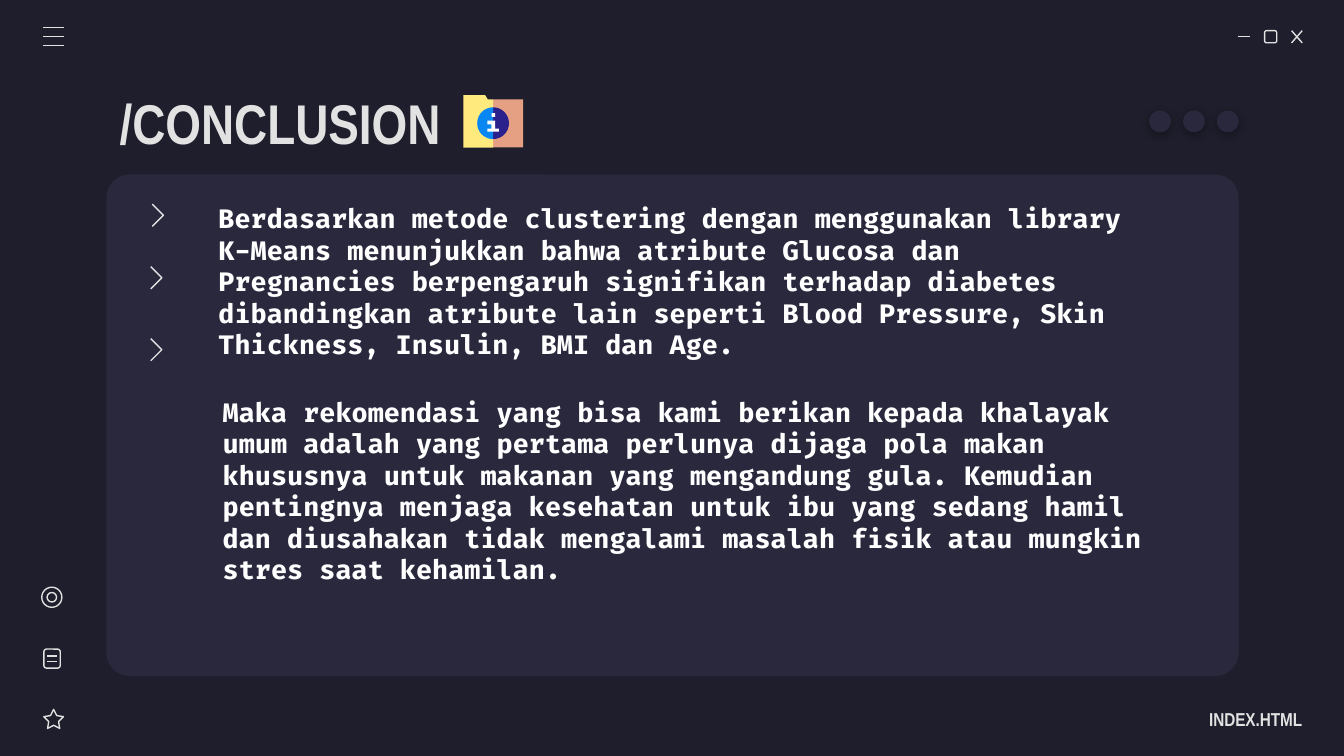
from math import cos, pi, sin

from lxml.etree import SubElement
from pptx import Presentation
from pptx.dml.color import RGBColor
from pptx.enum.shapes import MSO_CONNECTOR, MSO_SHAPE
from pptx.enum.text import MSO_ANCHOR, PP_ALIGN
from pptx.oxml.ns import qn
from pptx.util import Cm, Pt

BACKGROUND = RGBColor(0x1E, 0x1E, 0x2C)
PANEL = RGBColor(0x29, 0x28, 0x3D)
LIGHT = RGBColor(0xE2, 0xE2, 0xE2)
WHITE = RGBColor(0xFF, 0xFF, 0xFF)
YELLOW = RGBColor(0xFF, 0xEA, 0x7D)
PEACH = RGBColor(0xE5, 0xA0, 0x83)
BLUE = RGBColor(0x08, 0x87, 0xF2)
INDIGO = RGBColor(0x2B, 0x21, 0x8D)

HEADING = {"name": "Arial Narrow", "size": Pt(30), "bold": True}
FOOTER = {"name": "Arial Narrow", "size": Pt(10), "bold": True}
BODY = {"name": "Fira Code", "size": Pt(14), "bold": True}

FINDING = (
    "Berdasarkan metode clustering dengan menggunakan library K-Means "
    "menunjukkan bahwa atribute Glucosa dan Pregnancies berpengaruh signifikan "
    "terhadap diabetes dibandingkan atribute lain seperti Blood Pressure, Skin "
    "Thickness, Insulin, BMI dan Age."
)
ADVICE = (
    "Maka rekomendasi yang bisa kami berikan kepada khalayak umum adalah yang "
    "pertama perlunya dijaga pola makan khususnya untuk makanan yang mengandung "
    "gula. Kemudian pentingnya menjaga kesehatan untuk ibu yang sedang hamil dan "
    "diusahakan tidak mengalami masalah fisik atau mungkin stres saat kehamilan."
)


class SlidePainter:
    """Adds styled elements to one slide; every length is in centimetres."""

    line_color = LIGHT
    line_width = Pt(0.75)

    def __init__(self, slide):
        self.slide = slide
        fill = slide.background.fill
        fill.solid()
        fill.fore_color.rgb = BACKGROUND

    def finish(self, shape, fill):
        """Fill the shape without a line, or only outline it if fill is None."""
        shape.shadow.inherit = False
        if fill is None:
            shape.fill.background()
            shape.line.color.rgb = self.line_color
            shape.line.width = self.line_width
        else:
            shape.fill.solid()
            shape.fill.fore_color.rgb = fill
            shape.line.fill.background()
        return shape

    def preset(self, kind, left, top, width, height, fill=None, adjustments=()):
        shape = self.slide.shapes.add_shape(
            kind, Cm(left), Cm(top), Cm(width), Cm(height))
        for index, value in enumerate(adjustments):
            shape.adjustments[index] = value
        return self.finish(shape, fill)

    def outline(self, points, fill=None):
        """Draw a path through the points, closed when it is filled."""
        start, *others = [(Cm(x), Cm(y)) for x, y in points]
        builder = self.slide.shapes.build_freeform(*start)
        builder.add_line_segments(others, close=fill is not None)
        return self.finish(builder.convert_to_shape(), fill)

    def line(self, x1, y1, x2, y2):
        connector = self.slide.shapes.add_connector(
            MSO_CONNECTOR.STRAIGHT, Cm(x1), Cm(y1), Cm(x2), Cm(y2))
        connector.line.color.rgb = self.line_color
        connector.line.width = self.line_width
        SubElement(connector._element.spPr, qn("a:effectLst"))

    def text(self, content, box, style, color, align=PP_ALIGN.LEFT, frame_format=None):
        shape = self.slide.shapes.add_textbox(*[Cm(value) for value in box])
        frame = shape.text_frame
        frame.word_wrap = True
        for name, value in (frame_format or {}).items():
            setattr(frame, name, value)
        paragraph = frame.paragraphs[0]
        paragraph.alignment = align
        run = paragraph.add_run()
        run.text = content
        for name, value in style.items():
            setattr(run.font, name, value)
        run.font.color.rgb = color

    def soft_shadow(self, shape):
        effects = shape._element.spPr.find(qn("a:effectLst"))
        shadow = SubElement(effects, qn("a:outerShdw"), blurRad=str(Pt(4.5)),
                            dist=str(Pt(1.5)), dir="5400000", rotWithShape="0")
        color = SubElement(shadow, qn("a:srgbClr"), val="000000")
        SubElement(color, qn("a:alpha"), val="30000")


def half_disc(center_x, center_y, radius, side):
    """Points of a half disc; side is -1 for the left half and 1 for the right."""
    steps = 24
    angles = [pi * step / steps - pi / 2 for step in range(steps + 1)]
    return [(center_x + side * radius * cos(angle), center_y + radius * sin(angle))
            for angle in angles]


def draw_window_controls(painter):
    painter.line(23.39, 0.69, 23.62, 0.69)
    painter.preset(MSO_SHAPE.ROUNDED_RECTANGLE, 23.9, 0.58, 0.23, 0.23)
    painter.line(24.41, 0.58, 24.61, 0.81)
    painter.line(24.61, 0.58, 24.41, 0.81)
    for y in (0.52, 0.69, 0.86):
        painter.line(0.82, y, 1.21, y)


def draw_side_icons(painter):
    painter.preset(MSO_SHAPE.STAR_5_POINT, 0.83, 13.41, 0.37, 0.36,
                   adjustments=(0.254, 1.051, 1.106))
    painter.preset(MSO_SHAPE.ROUNDED_RECTANGLE, 0.83, 12.27, 0.31, 0.36)
    for y in (12.4, 12.5):
        painter.line(0.89, y, 1.07, y)
    for inset in (0, 0.1):
        size = 0.38 - 2 * inset
        painter.preset(MSO_SHAPE.OVAL, 0.79 + inset, 11.1 + inset, size, size)


def draw_folder(painter):
    middle, top, bottom = 9.32, 1.88, 2.79
    painter.preset(MSO_SHAPE.RECTANGLE, middle, top, 0.57, bottom - top, PEACH)
    painter.outline([(8.76, 1.8), (8.76, bottom), (middle, bottom), (middle, top),
                     (9.22, top), (9.17, 1.8)], YELLOW)
    for side, color in ((1, INDIGO), (-1, BLUE)):
        painter.outline(half_disc(middle, 2.33, 0.3, side), color)
    painter.outline([(9.21, 2.28), (9.21, 2.35), (9.29, 2.35), (9.29, 2.43),
                     (9.21, 2.43), (9.21, 2.49), (9.43, 2.49), (9.43, 2.43),
                     (9.36, 2.43), (9.36, 2.28)], WHITE)
    painter.preset(MSO_SHAPE.RECTANGLE, 9.29, 2.14, 0.07, 0.07, WHITE)


def main():
    presentation = Presentation()
    presentation.slide_width = Cm(25.4)
    presentation.slide_height = Cm(14.29)
    painter = SlidePainter(presentation.slides.add_slide(presentation.slide_layouts[6]))

    painter.preset(MSO_SHAPE.ROUNDED_RECTANGLE, 2.01, 3.3, 21.4, 9.48, PANEL, (0.047,))
    draw_window_controls(painter)
    draw_side_icons(painter)

    margins = {"vertical_anchor": MSO_ANCHOR.MIDDLE,
               "margin_top": Cm(0.25), "margin_bottom": Cm(0.25)}
    painter.text("INDEX.HTML", (21.64, 13.22, 2.97, 0.76), FOOTER, LIGHT,
                 PP_ALIGN.RIGHT, {**margins, "margin_right": 0})
    painter.text("/CONCLUSION", (2.01, 1.5, 21.4, 1.6), HEADING, LIGHT,
                 frame_format=margins)

    for x, y in ((2.88, 3.86), (2.85, 5.04), (2.85, 6.4)):
        painter.outline([(x, y), (x + 0.21, y + 0.21), (x, y + 0.42)])
    for index in range(3):
        dot = painter.preset(MSO_SHAPE.OVAL, 21.72 + 0.64 * index, 2.09, 0.41, 0.41, PANEL)
        painter.soft_shadow(dot)
    draw_folder(painter)

    painter.text(FINDING, (3.88, 3.71, 18.03, 3.25), BODY, WHITE)
    painter.text(ADVICE, (3.96, 7.37, 18.03, 3.84), BODY, WHITE)
    presentation.save("out.pptx")


if __name__ == "__main__":
    main()
